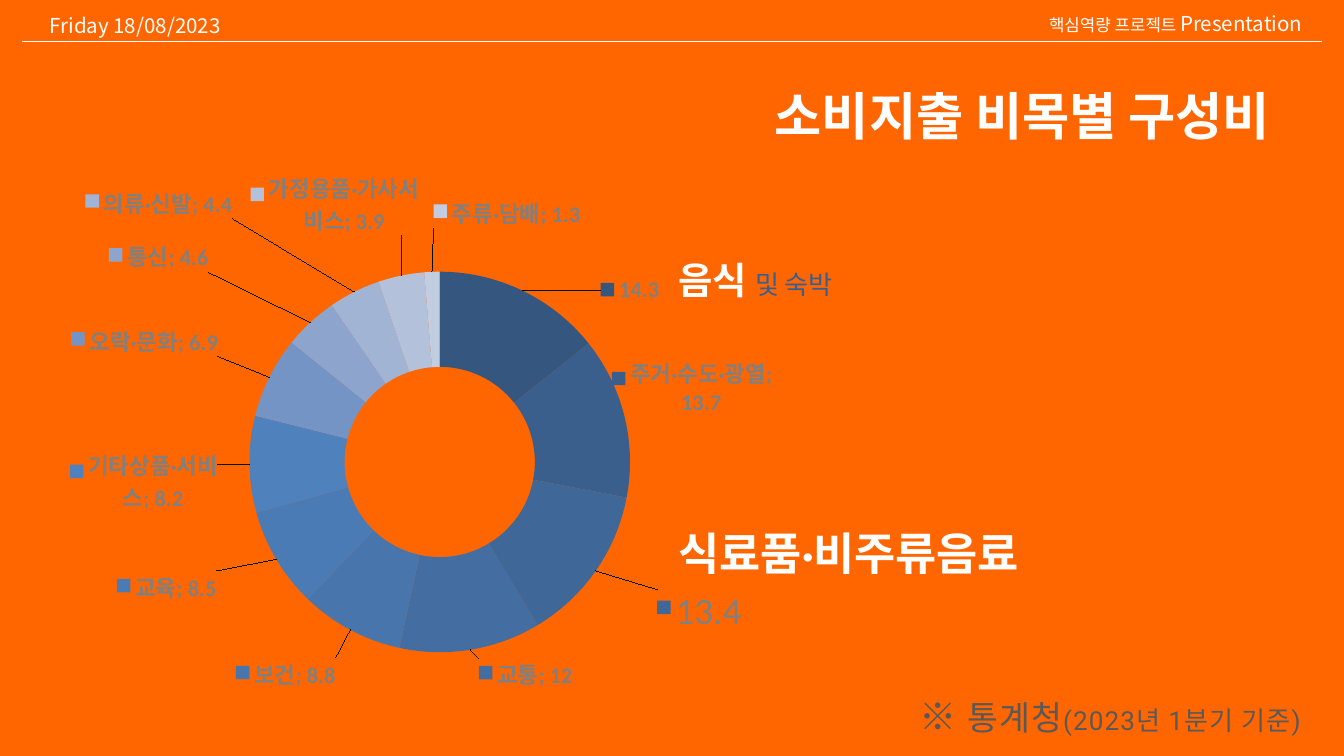
from math import cos, pi, sin

from pptx import Presentation
from pptx.chart.data import CategoryChartData
from pptx.dml.color import RGBColor
from pptx.enum.chart import XL_CHART_TYPE
from pptx.enum.shapes import MSO_CONNECTOR
from pptx.enum.text import MSO_AUTO_SIZE, PP_ALIGN
from pptx.oxml import parse_xml
from pptx.oxml.ns import nsdecls, qn
from pptx.util import Inches, Pt

DOUGHNUT = XL_CHART_TYPE.DOUGHNUT
STRAIGHT = MSO_CONNECTOR.STRAIGHT
GROW = MSO_AUTO_SIZE.SHAPE_TO_FIT_TEXT
LEFT, RIGHT = PP_ALIGN.LEFT, PP_ALIGN.RIGHT

ORANGE = RGBColor(0xFF, 0x66, 0x00)
WHITE = RGBColor(0xFF, 0xFF, 0xFF)
BLACK = RGBColor(0, 0, 0)
GRAY = RGBColor(0x80, 0x80, 0x80)
DARK_GRAY = RGBColor(0x59, 0x59, 0x59)
NAVY = RGBColor(0x37, 0x60, 0x92)

CALIBRI, NOTO, ROBOTO = "Calibri", "Noto Sans CJK KR", "Roboto"

# Chart frame and plot area (left, top, width, height; plot as fractions)
CHART = (0.92, 1.91, 11.17, 8.36)
PLOT = (0.25, 0.254, 0.507, 0.68)
CENTER = (6.53, 6.88)
MID_RING = 2.12
BIG_LABEL = 2

# Category, share, slice colour, centre of the label in inches
SPENDING = [
    ("", 14.3, "35577F", (9.36, 4.32)),
    ("주거·수도·광열", 13.7, "3A5F8C", (10.28, 5.76)),
    ("", 13.4, "3F6797", (10.39, 9.11)),
    ("교통", 12, "446EA2", (7.81, 10.04)),
    ("보건", 8.8, "4875AC", (4.24, 10.03)),
    ("교육", 8.5, "4B7BB5", (2.47, 8.74)),
    ("기타상품·서비스", 8.2, "4F81BD", (2.13, 7.16)),
    ("오락·문화", 6.9, "7394C5", (2.14, 5.07)),
    ("통신", 4.6, "8DA5CC", (2.35, 3.82)),
    ("의류·신발", 4.4, "A1B4D4", (2.35, 3.02)),
    ("가정용품·가사서비스", 3.9, "B3C1DB", (4.97, 3.04)),
    ("주류·담배", 1.3, "C2CDE1", (7.53, 3.17)),
]


def add_text(slide, box, runs, align=LEFT):
    """Runs are (text, size, font, colour, bold, spacing in points)."""
    sp = slide.shapes.add_textbox(*(Inches(v) for v in box))
    tf = sp.text_frame
    tf.word_wrap = True
    tf.auto_size = GROW
    p = tf.paragraphs[0]
    p.alignment = align
    for text, size, font, color, bold, spacing in runs:
        r = p.add_run()
        r.text = text
        r.font.size = Pt(size)
        r.font.name = font
        r.font.bold = bold
        r.font.color.rgb = color
        if spacing:
            r.font._element.set("spc", str(round(spacing * 100)))


def add_rule(slide, start, end):
    line = slide.shapes.add_connector(STRAIGHT, *(Inches(v) for v in start + end))
    line.line.color.rgb = WHITE
    line.line.width = Pt(1)
    line._element.spPr.append(parse_xml(f"<a:effectLst {nsdecls('a')}/>"))


def text_props(tag, size, bold):
    return (f'<a:{tag} sz="{size * 100}" b="{bold}"><a:solidFill><a:srgbClr val="{GRAY}"/>'
            f'</a:solidFill><a:latin typeface="{CALIBRI}"/></a:{tag}>')


def label_body():
    """Settings shared by the single labels and the series labels."""
    return (f'<c:numFmt formatCode="General" sourceLinked="0"/>'
            f'<c:txPr><a:bodyPr/><a:p><a:pPr>{text_props("defRPr", 24, 1)}</a:pPr></a:p></c:txPr>'
            '<c:showLegendKey val="1"/><c:showVal val="1"/><c:showCatName val="1"/>'
            '<c:showSerName val="0"/><c:showPercent val="0"/><c:showBubbleSize val="0"/>'
            '<c:separator>; </c:separator>')


def label_xml(idx, value, offset, big):
    rich = ""
    if big:
        rich = (f'<c:tx><c:rich><a:bodyPr/><a:p><a:r>{text_props("rPr", 40, 0)}'
                f'<a:t>{value}</a:t></a:r></a:p></c:rich></c:tx>')
    return (f'<c:dLbl><c:idx val="{idx}"/><c:layout><c:manualLayout>'
            f'<c:x val="{offset[0]:.4f}"/><c:y val="{offset[1]:.4f}"/>'
            f'</c:manualLayout></c:layout>{rich}{label_body()}</c:dLbl>')


def add_labels(series):
    """Shift each label from the middle of its slice to its own place."""
    total = sum(row[1] for row in SPENDING)
    labels, before = "", 0
    for i, (_, value, _, (x, y)) in enumerate(SPENDING):
        angle = 2 * pi * (before + value / 2) / total
        before += value
        offset = ((x - CENTER[0] - MID_RING * sin(angle)) / CHART[2],
                  (y - CENTER[1] + MID_RING * cos(angle)) / CHART[3])
        labels += label_xml(i, value, offset, i == BIG_LABEL)
    series._element.find(qn("c:cat")).addprevious(parse_xml(
        f"<c:dLbls {nsdecls('c', 'a')}>{labels}{label_body()}"
        '<c:showLeaderLines val="1"/></c:dLbls>'))


def add_doughnut(slide):
    data = CategoryChartData()
    data.categories = [row[0] for row in SPENDING]
    data.add_series("Series 1", [row[1] for row in SPENDING])
    frame = slide.shapes.add_chart(DOUGHNUT, *(Inches(v) for v in CHART), data)
    chart = frame.chart
    chart.has_legend = False
    chart.has_title = False
    chart.font.size = Pt(24)
    chart.font.name = CALIBRI
    chart.font.color.rgb = BLACK

    # Slices and labels
    plot = chart.plots[0]
    plot.vary_by_categories = True
    series = plot.series[0]
    for i, row in enumerate(SPENDING):
        fmt = series.points[i].format
        fmt.fill.solid()
        fmt.fill.fore_color.rgb = RGBColor.from_string(row[2])
        fmt.line.fill.background()
    for old in plot._element.findall(qn("c:dLbls")):
        plot._element.remove(old)
    add_labels(series)
    plot._element.find(qn("c:holeSize")).set("val", "50")

    # Plot area
    area = chart._chartSpace.chart.plotArea
    for old in area.findall(qn("c:layout")):
        area.remove(old)
    sizes = "".join(f'<c:{k} val="{v}"/>' for k, v in zip("xywh", PLOT))
    area.insert(0, parse_xml(
        f'<c:layout {nsdecls("c")}><c:manualLayout><c:layoutTarget val="inner"/>'
        f'<c:xMode val="edge"/><c:yMode val="edge"/>{sizes}</c:manualLayout></c:layout>'))


def main():
    prs = Presentation()
    prs.slide_width, prs.slide_height = Inches(20), Inches(11.25)
    slide = prs.slides.add_slide(prs.slide_layouts[6])
    slide.background.fill.solid()
    slide.background.fill.fore_color.rgb = ORANGE

    add_doughnut(slide)

    # Source note
    add_text(slide, (13.58, 10.27, 7.08, 0.77), [
        ("※ ", 40, ROBOTO, DARK_GRAY, False, 1.2),
        ("통계청", 36, ROBOTO, DARK_GRAY, False, 1.2),
        ("(2023년 1분기 기준)", 28, ROBOTO, DARK_GRAY, False, 1.2)])

    # Highlighted categories
    add_text(slide, (10, 7.78, 6.58, 0.91),
             [("식료품·비주류음료", 48, CALIBRI, WHITE, True, -0.2)])
    add_text(slide, (10, 3.78, 4.92, 0.77), [
        ("음식 ", 40, CALIBRI, WHITE, True, -0.2),
        ("및 숙박", 28, CALIBRI, NAVY, False, -0.2)])

    # Header and title
    add_text(slide, (0.64, 0.15, 7.54, 0.47),
             [("Friday 18/08/2023", 22, NOTO, WHITE, False, 0)])
    add_text(slide, (11.94, 0.12, 7.54, 0.47), [
        ("핵심역량 프로젝트 ", 18, NOTO, WHITE, False, 0),
        ("Presentation", 22, NOTO, WHITE, False, 0)], RIGHT)
    add_text(slide, (11.43, 1.2, 9.34, 1.03),
             [("소비지출 비목별 구성비", 55, CALIBRI, WHITE, True, 0)])
    add_rule(slide, (0.33, 0.62), (19.67, 0.62))

    prs.save("out.pptx")


if __name__ == "__main__":
    main()
